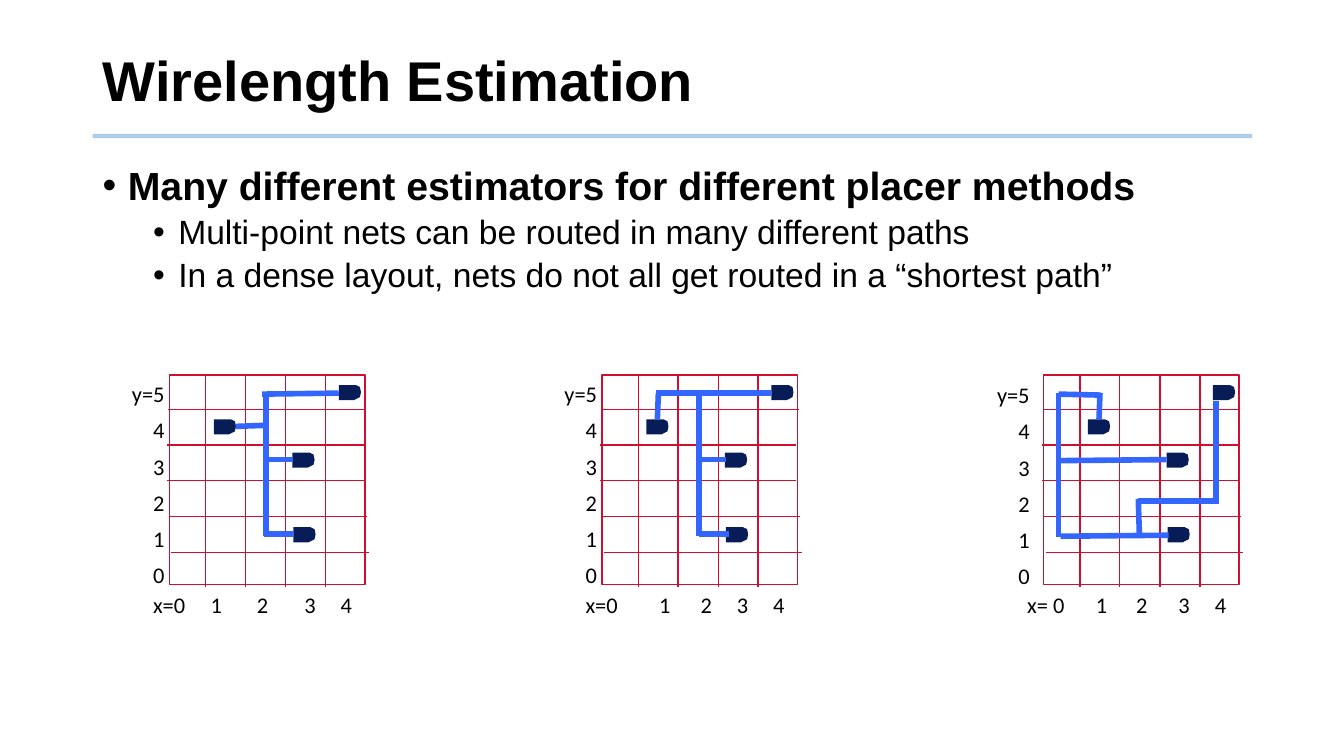
from dataclasses import dataclass

from lxml import etree
from pptx import Presentation
from pptx.dml.color import RGBColor
from pptx.enum.shapes import MSO_CONNECTOR, MSO_SHAPE
from pptx.enum.text import MSO_ANCHOR, MSO_AUTO_SIZE, PP_ALIGN
from pptx.oxml.ns import qn
from pptx.util import Inches, Pt

STRAIGHT = MSO_CONNECTOR.STRAIGHT
RECTANGLE = MSO_SHAPE.RECTANGLE
LEFT, RIGHT = PP_ALIGN.LEFT, PP_ALIGN.RIGHT
TOP, MIDDLE = MSO_ANCHOR.TOP, MSO_ANCHOR.MIDDLE
FIXED_SIZE = MSO_AUTO_SIZE.NONE


@dataclass(frozen=True)
class Theme:
    text: str = "000000"
    rule: str = "5B9BD5"
    grid: str = "CF0E30"
    pin: str = "081D58"
    wire: str = "3366FF"
    heading_font: str = "Arial"
    label_font: str = "Calibri"
    title_size: int = 40
    point_size: int = 28
    detail_size: int = 24
    label_size: int = 16


@dataclass(frozen=True)
class Point:
    text: str
    size: int
    bold: bool
    indent: float
    space_before: int


@dataclass(frozen=True)
class Routing:
    left: float
    y_labels_at: tuple[float, float]
    x_labels: tuple[str, ...]
    x_tabs: tuple[float, ...]
    wires: tuple[tuple[float, float, float, float], ...]


THEME = Theme()

POINTS = (
    Point("Many different estimators for different placer methods", THEME.point_size, True, 0.25, 0),
    Point("Multi-point nets can be routed in many different paths", THEME.detail_size, False, 0.75, 5),
    Point("In a dense layout, nets do not all get routed in a “shortest path”",
          THEME.detail_size, False, 0.75, 5),
)

# Grid geometry; horizontal values count from the left edge of each grid
GRID_TOP, GRID_WIDTH, GRID_HEIGHT = 3.72, 1.94, 2.08
COLUMN_BOTTOM = 5.82
ROW_ENDS = ((-0.01, 1.95), (-0.02, 1.93), (-0.02, 1.93), (0, 1.96), (0.02, 1.98))
PINS = ((0.44, 4.16), (1.23, 5.23), (1.22, 4.49), (1.68, 3.82))
PIN_OUTLINE = ((0, 0.15), (0.15, 0.15), (0.21, 0.12), (0.22, 0.07), (0.21, 0.02), (0.17, 0))
Y_LABELS = ("y=5", "4", "3", "2", "1", "0")

# Wires run from x, y to x, y on the slide
ROUTINGS = (
    Routing(1.68, (1.14, 3.63), ("x=0", "1", "2", "3", "4"), (0.57, 1.03, 1.5, 1.86), (
        (2.34, 4.23, 2.63, 4.22), (2.6, 3.91, 3.36, 3.9), (2.64, 3.89, 2.64, 5.32),
        (2.61, 4.56, 2.91, 4.56), (2.62, 5.3, 2.92, 5.3))),
    Routing(5.97, (5.43, 3.63), ("x=0", "1", "2", "3", "4"), (0.73, 1.14, 1.5, 1.86), (
        (6.53, 3.9, 6.52, 4.16), (6.51, 3.9, 7.65, 3.9), (6.93, 3.89, 6.93, 5.32),
        (6.9, 4.56, 7.2, 4.56), (6.93, 5.3, 7.23, 5.3))),
    Routing(10.35, (9.72, 3.64), ("x= 0", "1", "2", "3", "4"), (0.68, 1.08, 1.5, 1.86), (
        (10.91, 3.9, 10.9, 4.16), (10.5, 3.91, 10.92, 3.92), (10.5, 3.9, 10.5, 5.33),
        (10.5, 4.57, 11.57, 4.56), (10.52, 5.32, 11.59, 5.31), (11.29, 4.95, 11.3, 5.29),
        (11.29, 4.97, 12.09, 4.97), (12.06, 3.98, 12.06, 4.97))),
)


def spread(first: float, last: float, count: int) -> list[float]:
    return [first + (last - first) * i / (count - 1) for i in range(count)]


def apply(target, values: dict) -> None:
    for attribute, value in values.items():
        setattr(target, attribute, value)


def write(paragraph, text: str, size: int, font: str, bold: bool = False) -> None:
    run = paragraph.add_run()
    run.text = text
    apply(run.font, {"size": Pt(size), "name": font, "bold": bold})
    run.font.color.rgb = RGBColor.from_string(THEME.text)


def set_frame(frame, anchor=TOP) -> None:
    apply(frame, {"word_wrap": True, "auto_size": FIXED_SIZE, "vertical_anchor": anchor,
                  "margin_left": Inches(0.1), "margin_right": Inches(0.1),
                  "margin_top": Inches(0.05), "margin_bottom": Inches(0.05)})


def add_text_frame(shapes, left: float, top: float, width: float, height: float):
    frame = shapes.add_textbox(Inches(left), Inches(top), Inches(width), Inches(height)).text_frame
    set_frame(frame)
    return frame


def add_line(shapes, x1: float, y1: float, x2: float, y2: float, color: str, width: float):
    line = shapes.add_connector(STRAIGHT, Inches(x1), Inches(y1), Inches(x2), Inches(y2))
    line.line.color.rgb = RGBColor.from_string(color)
    line.line.width = Pt(width)
    etree.SubElement(line.element.spPr, qn("a:effectLst"))
    return line


def add_title(slide) -> None:
    title = slide.shapes.title
    apply(title, {"left": Inches(0.92), "top": Inches(0.28), "width": Inches(11.5), "height": Inches(1.1)})
    set_frame(title.text_frame, MIDDLE)
    paragraph = title.text_frame.paragraphs[0]
    apply(paragraph, {"alignment": LEFT, "line_spacing": 0.9})
    write(paragraph, "Wirelength Estimation", THEME.title_size, THEME.heading_font, True)

    rule = add_line(slide.shapes, 0.92, 1.35, 12.42, 1.35, THEME.rule, 3)
    for color in rule.element.spPr.iter(qn("a:srgbClr")):
        etree.SubElement(color, qn("a:alpha"), val="50000")


def add_points(slide) -> None:
    frame = add_text_frame(slide.shapes, 0.92, 1.6, 11.5, 1.6)
    for i, point in enumerate(POINTS):
        paragraph = frame.add_paragraph() if i else frame.paragraphs[0]
        properties = paragraph._p.get_or_add_pPr()
        properties.set("marL", str(Inches(point.indent)))
        properties.set("indent", str(Inches(-0.25)))
        etree.SubElement(properties, qn("a:buFont"), typeface=THEME.heading_font)
        etree.SubElement(properties, qn("a:buChar"), char="•")
        apply(paragraph, {"line_spacing": 0.9, "space_before": Pt(point.space_before)})
        write(paragraph, point.text, point.size, THEME.heading_font, point.bold)


def add_grid(shapes, left: float) -> None:
    border = shapes.add_shape(RECTANGLE, Inches(left), Inches(GRID_TOP), Inches(GRID_WIDTH), Inches(GRID_HEIGHT))
    border.shadow.inherit = False
    border.fill.background()
    border.line.color.rgb = RGBColor.from_string(THEME.grid)
    border.line.width = Pt(1)
    for x in spread(left + 0.36, left + 1.55, 4):
        add_line(shapes, x, GRID_TOP, x, COLUMN_BOTTOM, THEME.grid, 1)
    for y, (start, end) in zip(spread(4.06, 5.48, 5), ROW_ENDS):
        add_line(shapes, left + end, y, left + start, y, THEME.grid, 1)


def add_pin(shapes, left: float, top: float) -> None:
    builder = shapes.build_freeform(Inches(left), Inches(top))
    builder.add_line_segments([(Inches(left + x), Inches(top + y)) for x, y in PIN_OUTLINE], close=True)
    pin = builder.convert_to_shape()
    pin.shadow.inherit = False
    pin.fill.solid()
    pin.fill.fore_color.rgb = RGBColor.from_string(THEME.pin)
    pin.line.fill.background()


def add_axis_labels(shapes, routing: Routing) -> None:
    x_axis = add_text_frame(shapes, routing.left - 0.26, 5.82, 2.2, 0.37).paragraphs[0]
    tabs = etree.SubElement(x_axis._p.get_or_add_pPr(), qn("a:tabLst"))
    for position in routing.x_tabs:
        etree.SubElement(tabs, qn("a:tab"), pos=str(Inches(position)), algn="l")
    write(x_axis, "\t".join(routing.x_labels), THEME.label_size, THEME.label_font)

    y_axis = add_text_frame(shapes, *routing.y_labels_at, 0.59, 2.26)
    for i, label in enumerate(Y_LABELS):
        paragraph = y_axis.add_paragraph() if i else y_axis.paragraphs[0]
        apply(paragraph, {"alignment": RIGHT, "line_spacing": 1.35})
        write(paragraph, label, THEME.label_size, THEME.label_font)


def add_routing(slide, routing: Routing) -> None:
    shapes = slide.shapes.add_group_shape().shapes
    add_grid(shapes, routing.left)
    for x, y in PINS:
        add_pin(shapes, routing.left + x, y)
    add_axis_labels(shapes, routing)
    for wire in routing.wires:
        add_line(shapes, *wire, THEME.wire, 4)


def main() -> None:
    deck = Presentation()
    apply(deck, {"slide_width": Inches(13.33), "slide_height": Inches(7.5)})
    slide = deck.slides.add_slide(deck.slide_layouts[5])
    add_title(slide)
    add_points(slide)
    for routing in ROUTINGS:
        add_routing(slide, routing)
    deck.save("out.pptx")


if __name__ == "__main__":
    main()
